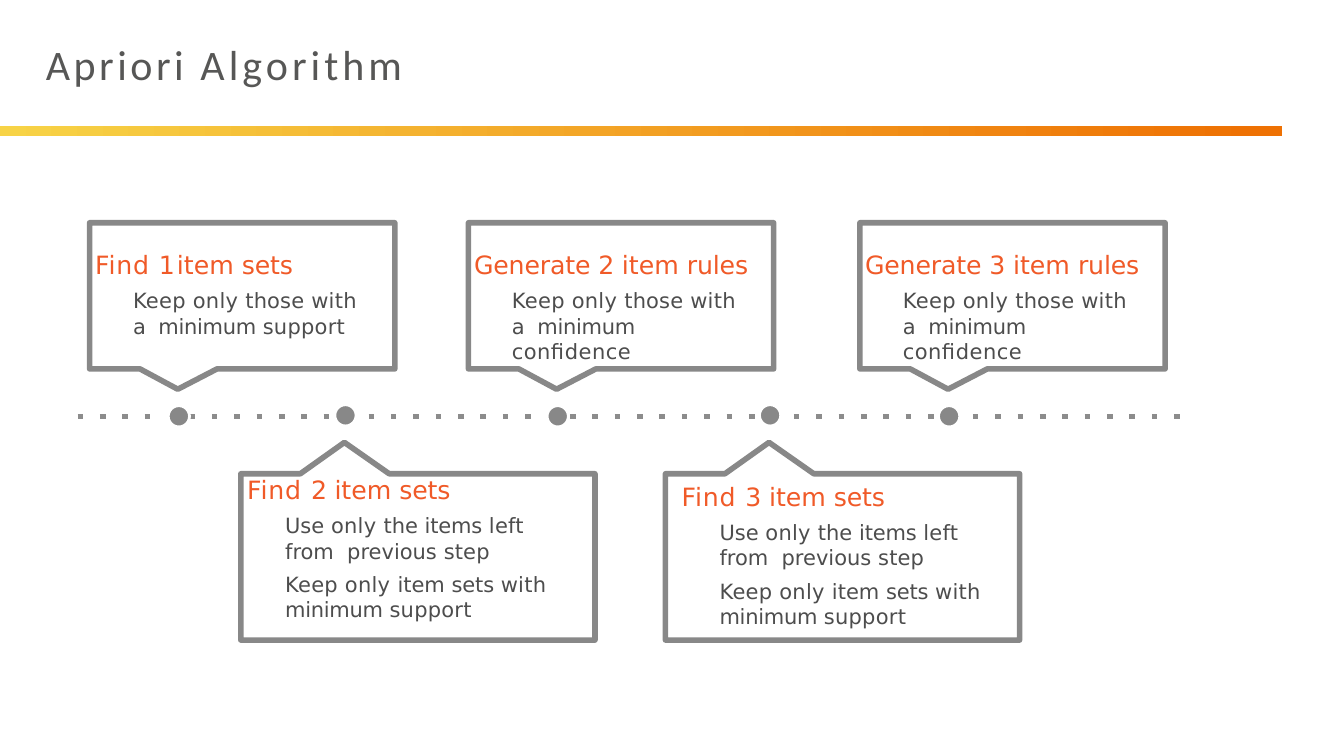
from dataclasses import dataclass

from lxml import etree
from pptx import Presentation
from pptx.dml.color import RGBColor
from pptx.enum import shapes, text
from pptx.oxml import ns
from pptx.util import Pt


@dataclass(frozen=True)
class Theme:
    font: str = "DejaVu Sans"
    title_font: str = "Calibri"
    title: str = "575756"
    head: str = "F05A28"
    body: str = "4D4D4D"
    frame: str = "888888"
    rail: str = "8C8C8C"
    halo: str = "FFFFFF"
    bar: tuple = ("F7D346", "EE7103")
    title_size: float = 30
    head_size: float = 18
    body_size: float = 15
    stroke: float = 4


@dataclass(frozen=True)
class Card:
    """Callout outline; notch holds the x offsets of the pointer."""
    top: float
    base: float
    tip: float
    width: float
    notch: tuple
    dot: float


THEME = Theme()
UPPER = Card(159.1, 263.5, 278, 218, (36, 63, 91), 297.4)
LOWER = Card(338.4, 457.2, 316, 253, (42.5, 74, 106), 296.7)

# Phrases as (words, letter spacing in points)
SETS = [("item ", 0), ("sets", -0.1)]
RULES = [("item ", 0), ("rules", -0.1)]
THOSE = [("Keep only ", 0.2), ("those ", 0.1), ("with ", 0.2),
         ("a  minimum ", -0.2)]
SUPPORT = THOSE + [("support", 0.2)]
TRUST = THOSE + [("confidence", 0.3)]
REUSE = [("Use ", 0), ("only ", 0.2), ("the ", 0), ("items ", -0.1),
         ("left ", 0.2), ("from  previous ", 0), ("step", 0.1)]
PRUNE = [("Keep only ", 0.2), ("item ", 0), ("sets ", -0.1),
         ("with  ", 0.2), ("minimum ", -0.2), ("support", 0.2)]

# Card shape, left edge, text place (left, top, width, height), head, body
STEPS = [
    (LOWER, 172, (175.7, 330.6, 237.6, 116.6),
     [("Find ", 0.6), ("2 ", -0.4)] + SETS, [REUSE, PRUNE]),
    (UPPER, 64, (67, 170, 201, 73),
     [("Find ", 0.6), ("1 ", -4.3)] + SETS, [SUPPORT]),
    (UPPER, 334.6, (337.7, 170, 201, 73),
     [("Generate ", -0.1), ("2 ", -0.4)] + RULES, [TRUST]),
    (LOWER, 475.3, (486, 335.5, 237.6, 114.5),
     [("Find ", 0.6), ("3 ", -0.3)] + SETS, [REUSE, PRUNE]),
    (UPPER, 614.2, (617, 170, 201, 73),
     [("Generate ", -0.1), ("3 ", -0.3)] + RULES, [TRUST]),
]


def rgb(code):
    return RGBColor.from_string(code)


def add_box(slide, place, inset):
    frame = slide.shapes.add_textbox(*map(Pt, place)).text_frame
    frame.word_wrap = True
    frame.margin_left = frame.margin_right = frame.margin_bottom = 0
    frame.margin_top = Pt(inset)
    return frame


def fill_line(para, phrase, size, color, font, indent, before):
    para.space_before = Pt(before)
    props = para._p.get_or_add_pPr()
    props.set("marL", str(Pt(indent)))
    props.set("indent", "0")
    for words, gap in phrase:
        run = para.add_run()
        run.text = words
        run.font.size = Pt(size)
        run.font.name = font
        run.font.color.rgb = rgb(color)
        run._r.get_or_add_rPr().set("spc", str(round(gap * 100)))


def add_bar(slide):
    bar = slide.shapes.add_shape(shapes.MSO_SHAPE.RECTANGLE,
                                 0, Pt(90), Pt(916), Pt(7))
    bar.shadow.inherit = False
    bar.line.fill.background()
    bar.fill.gradient()
    bar.fill.gradient_angle = 0
    for stop, color, spot in zip(bar.fill.gradient_stops, THEME.bar, (0, 0.98)):
        stop.color.rgb = rgb(color)
        stop.position = spot


def add_title(slide):
    frame = add_box(slide, (31.7, 26, 656, 37.4), 0.9)
    frame.vertical_anchor = text.MSO_ANCHOR.BOTTOM
    fill_line(frame.paragraphs[0], [("Apriori ", 2.5), ("Algorithm", 2.9)],
              THEME.title_size, THEME.title, THEME.title_font, 1.2, 0.8)


def add_rail(slide):
    rail = slide.shapes.add_connector(shapes.MSO_CONNECTOR.STRAIGHT,
                                      Pt(55.4), Pt(297.4), Pt(846.7), Pt(297.4))
    rail.line.color.rgb = rgb(THEME.rail)
    rail.line.width = Pt(THEME.stroke)
    props = rail._element.spPr
    dash = etree.SubElement(props.find(ns.qn("a:ln")), ns.qn("a:prstDash"))
    dash.set("val", "dot")
    etree.SubElement(props, ns.qn("a:effectLst"))


def add_card(slide, card, left):
    start, peak, end = (left + step for step in card.notch)
    right = left + card.width
    # The pointer sits on the edge that faces the rail
    near, far = ((card.top, card.base) if card.tip < card.top
                 else (card.base, card.top))
    spots = [(start, near), (peak, card.tip), (end, near),
             (right, near), (right, far), (left, far)]
    form = slide.shapes.build_freeform(Pt(left), Pt(near))
    form.add_line_segments([(Pt(x), Pt(y)) for x, y in spots], close=True)
    shape = form.convert_to_shape()
    shape.shadow.inherit = False
    shape.fill.background()
    shape.line.color.rgb = rgb(THEME.frame)
    shape.line.width = Pt(THEME.stroke)


def add_dot(slide, x, y, size=15.2):
    dot = slide.shapes.add_shape(shapes.MSO_SHAPE.OVAL, Pt(x - size / 2),
                                 Pt(y - size / 2), Pt(size), Pt(size))
    dot.shadow.inherit = False
    dot.fill.solid()
    dot.fill.fore_color.rgb = rgb(THEME.frame)
    dot.line.color.rgb = rgb(THEME.halo)
    dot.line.width = Pt(2)


def add_copy(slide, place, head, body):
    frame = add_box(slide, place, 8)
    fill_line(frame.paragraphs[0], head, THEME.head_size, THEME.head,
              THEME.font, 0.9, 8.1)
    for phrase in body:
        fill_line(frame.add_paragraph(), phrase, THEME.body_size, THEME.body,
                  THEME.font, 28, 6.1)


def main():
    deck = Presentation()
    deck.slide_width, deck.slide_height = Pt(960), Pt(540)
    slide = deck.slides.add_slide(deck.slide_layouts[6])

    # Heading
    add_bar(slide)
    add_title(slide)

    # Timeline with its steps
    add_rail(slide)
    for card, left, place, head, body in STEPS:
        add_dot(slide, left + card.notch[1] + 0.8, card.dot)
        add_card(slide, card, left)
        add_copy(slide, place, head, body)

    deck.save("out.pptx")


if __name__ == "__main__":
    main()
